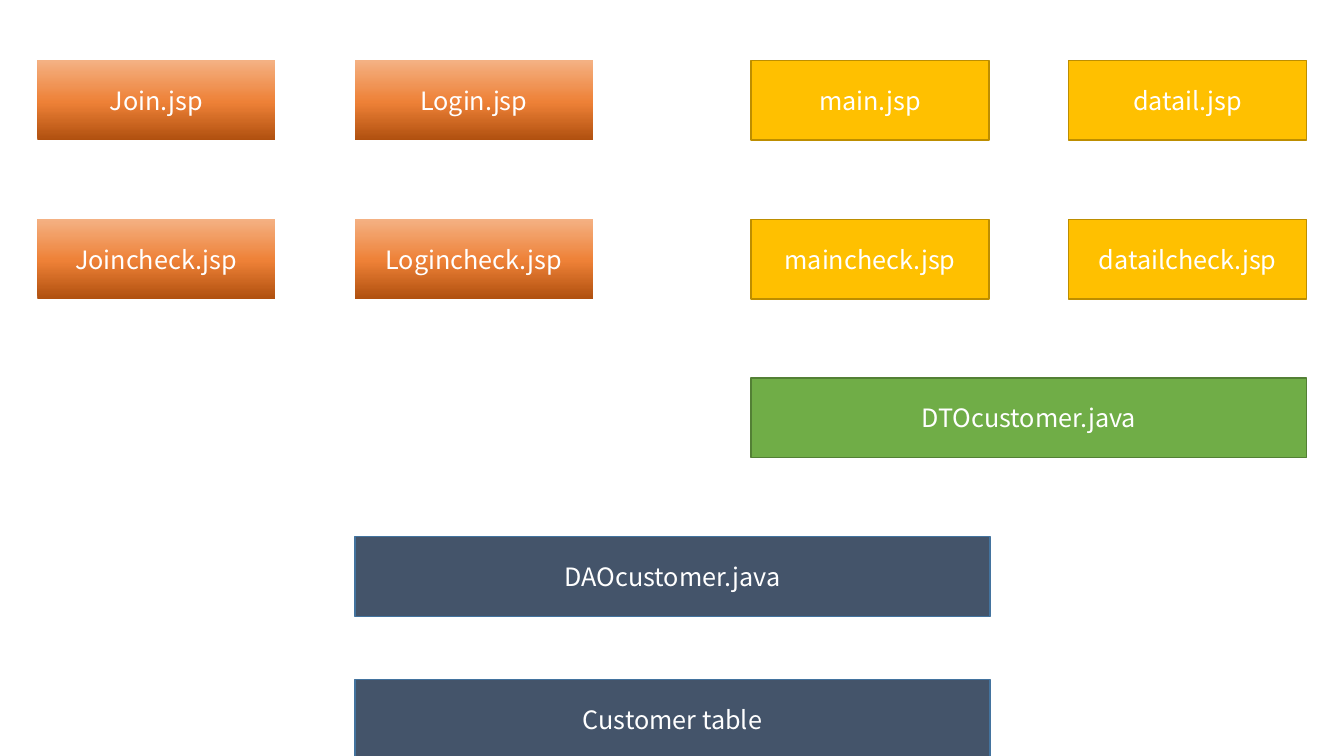
"""Build a slide that maps the JSP pages, Java classes and table of a customer site."""
import copy

import pptx
import pptx.dml.color
import pptx.enum.shapes
import pptx.enum.text
import pptx.oxml.ns
import pptx.util

Inches = pptx.util.Inches
RGBColor = pptx.dml.color.RGBColor

WHITE = RGBColor(0xFF, 0xFF, 0xFF)
RUST = RGBColor(0xB0, 0x50, 0x0F)
ORANGE = RGBColor(0xEE, 0x81, 0x37)
PEACH = RGBColor(0xF4, 0xB1, 0x83)
GOLD = RGBColor(0xFF, 0xC0, 0x00)
OCHRE = RGBColor(0xBD, 0x8E, 0x00)
GREEN = RGBColor(0x70, 0xAD, 0x47)
MOSS = RGBColor(0x53, 0x80, 0x35)
SLATE = RGBColor(0x44, 0x54, 0x6A)
BLUE = RGBColor(0x43, 0x73, 0x9E)

STOPS = [(0, RUST), (0.48, ORANGE), (1, PEACH)]
FONT = {"name": "Noto Sans CJK KR", "size": pptx.util.Pt(18)}
WIDTH, HEIGHT = 2.36, 0.79
TOP, PITCH = 0.6, 1.575


def add_box(left, top, width, text):
    box = slide.shapes.add_shape(
        pptx.enum.shapes.MSO_SHAPE.RECTANGLE,
        Inches(left), Inches(top), Inches(width), Inches(HEIGHT))
    box.shadow.inherit = False
    frame = box.text_frame
    frame.text = text
    frame.word_wrap = True
    frame.vertical_anchor = pptx.enum.text.MSO_ANCHOR.MIDDLE
    para = frame.paragraphs[0]
    para.alignment = pptx.enum.text.PP_ALIGN.CENTER
    font = para.runs[0].font
    for key, value in FONT.items():
        setattr(font, key, value)
    font.color.rgb = WHITE
    return box


def paint(box, fill, edge):
    box.fill.solid()
    box.fill.fore_color.rgb = fill
    box.line.color.rgb = edge
    box.line.width = pptx.util.Pt(1)


deck = pptx.Presentation()
deck.slide_width, deck.slide_height = Inches(13.33), Inches(7.5)
slide = deck.slides.add_slide(deck.slide_layouts[6])

for left, page in [(0.37, "Join"), (3.52, "Login")]:
    for row, end in enumerate([".jsp", "check.jsp"]):
        box = add_box(left, TOP + row * PITCH, WIDTH, page + end)
        box.line.fill.background()
        box.fill.gradient()
        box.fill.gradient_angle = 90
        stops = box._element.spPr.find(".//" + pptx.oxml.ns.qn("a:gsLst"))
        stops.append(copy.deepcopy(stops[0]))
        for stop, (place, color) in zip(box.fill.gradient_stops, STOPS):
            stop.position = place
            stop.color.rgb = color

for left, page in [(7.45, "main"), (10.6, "datail")]:
    for row, end in enumerate([".jsp", "check.jsp"]):
        paint(add_box(left, TOP + row * PITCH, WIDTH, page + end), GOLD, OCHRE)

paint(add_box(7.45, TOP + 2 * PITCH, 5.51, "DTOcustomer.java"), GREEN, MOSS)

for top, text in [(TOP + 3 * PITCH, "DAOcustomer.java"), (6.74, "Customer table")]:
    paint(add_box(3.52, top, 6.3, text), SLATE, BLUE)

deck.save("out.pptx")
